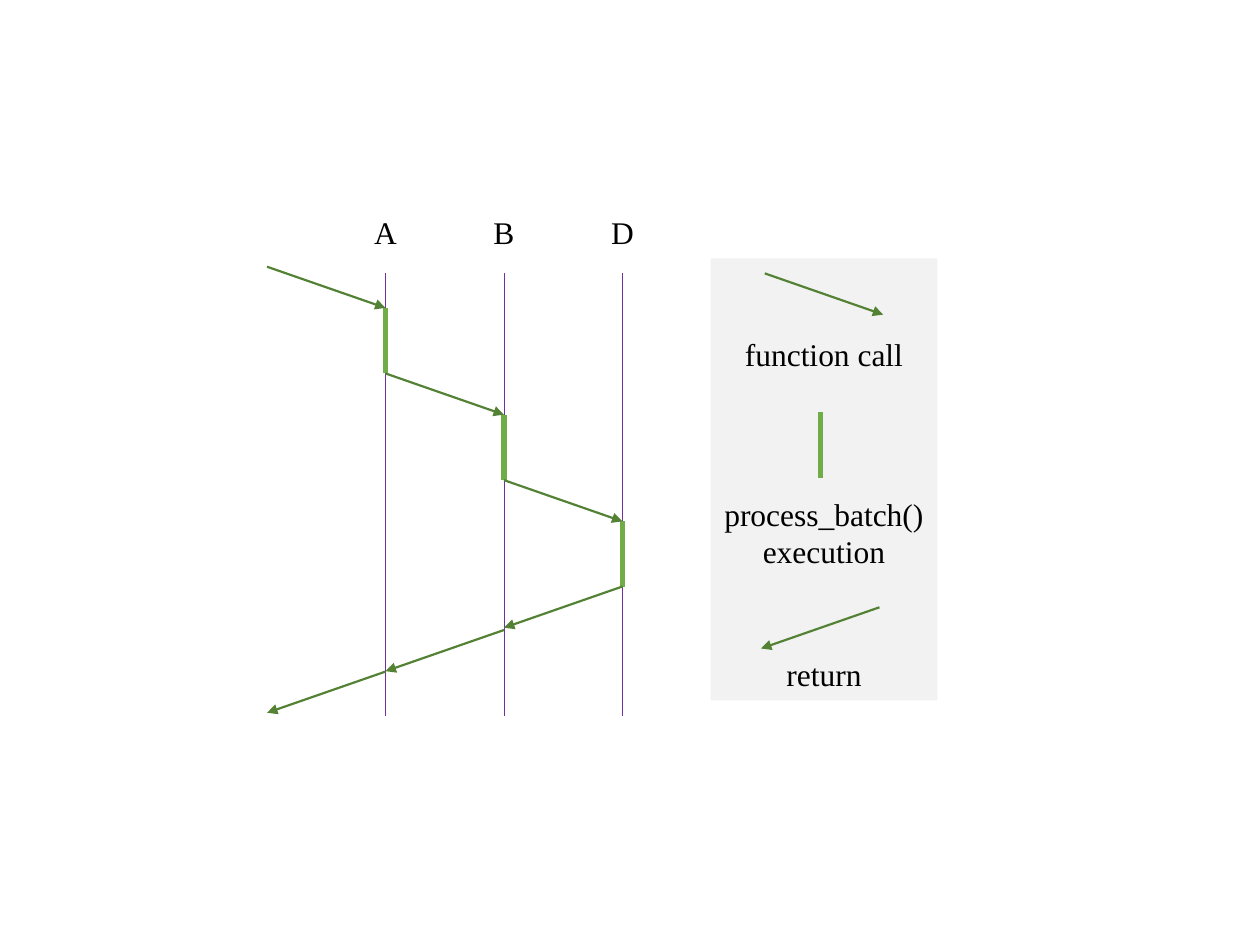
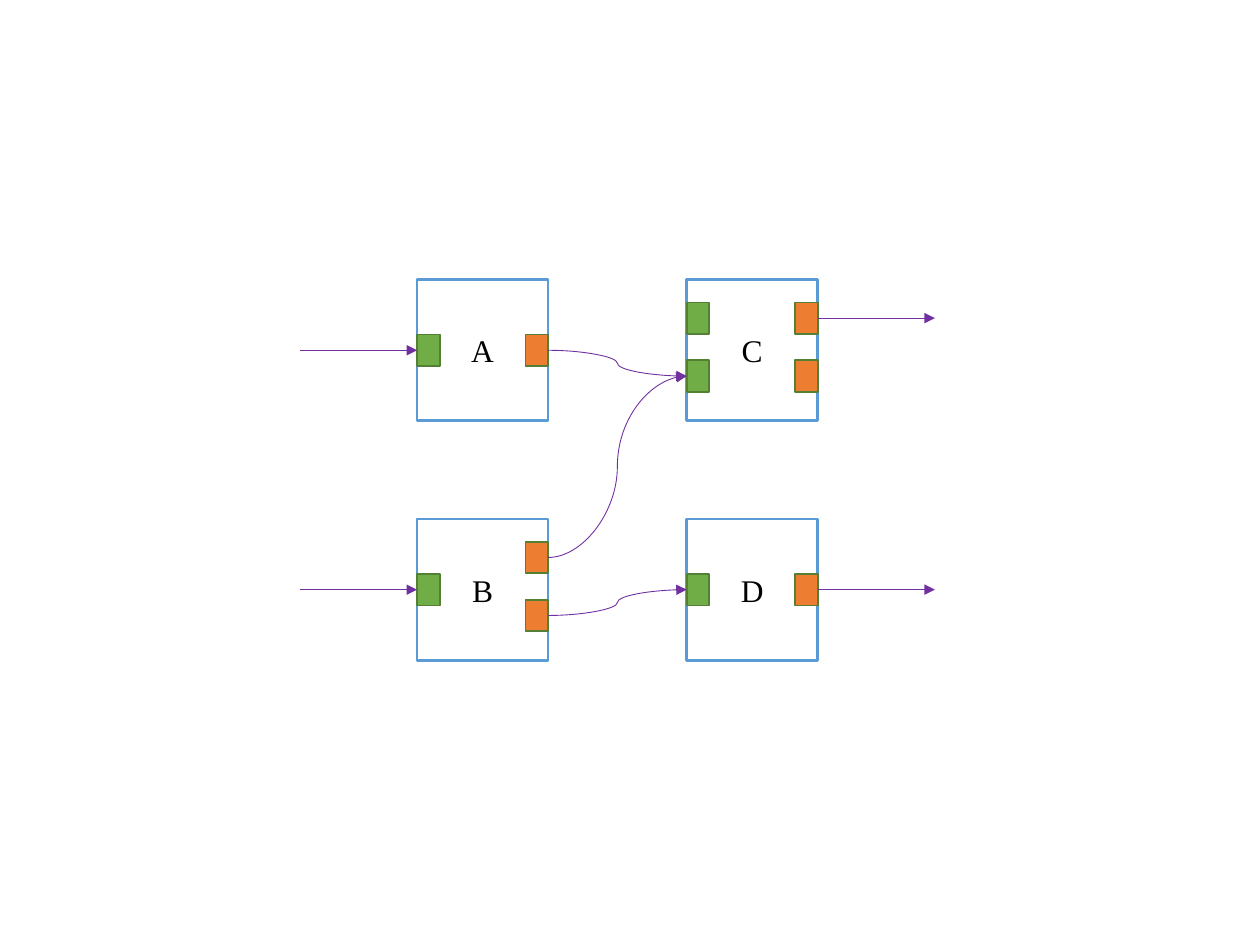
from dataclasses import dataclass

from lxml.etree import SubElement
from pptx import Presentation
from pptx.dml.color import RGBColor
from pptx.enum.shapes import MSO_CONNECTOR as CXN, MSO_SHAPE as SHAPE
from pptx.enum.text import MSO_ANCHOR, MSO_AUTO_SIZE, PP_ALIGN
from pptx.oxml.ns import qn
from pptx.util import Inches, Pt

COLS, ROWS = 100, 75          # slide grid, in cells
LEFT, RIGHT = 1, 3            # connection sites of a rectangle


@dataclass(frozen=True)
class Theme:
    font: str = "Times New Roman"
    size: float = 18
    text: str = "000000"
    paper: str = "FFFFFF"
    panel: str = "F2F2F2"
    wire: str = "7030A0"
    call: str = "548235"
    green: str = "70AD47"
    orange: str = "ED7D31"
    port_edge: str = "538035"
    module_edge: str = "5B9BD5"
    thin: float = 0.5
    port_line: float = 1
    call_line: float = 1.25
    module_line: float = 1.5
    bar_line: float = 3


class Deck:
    """Theme, presentation and current slide; lengths are grid cells."""

    def __init__(self, theme):
        self.t = theme
        self.prs = Presentation()
        self.prs.slide_width, self.prs.slide_height = Inches(10), Inches(7.5)
        self.cell_w = self.prs.slide_width / COLS
        self.cell_h = self.prs.slide_height / ROWS

    def new_slide(self):
        self.shapes = self.prs.slides.add_slide(self.prs.slide_layouts[6]).shapes

    def grid(self, *cells):
        """Turn alternating columns and rows into lengths."""
        return [round(c * (self.cell_h if i % 2 else self.cell_w))
                for i, c in enumerate(cells)]

    def set_text(self, tf, text):
        tf.text = text
        tf.vertical_anchor = MSO_ANCHOR.MIDDLE
        p = tf.paragraphs[0]
        p.alignment = PP_ALIGN.CENTER
        p.font.name, p.font.size = self.t.font, Pt(self.t.size)
        p.font.color.rgb = RGBColor.from_string(self.t.text)

    def rect(self, x, y, w, h, fill, edge=None, weight=0, text=None):
        sp = self.shapes.add_shape(SHAPE.RECTANGLE, *self.grid(x, y, w, h))
        sp.shadow.inherit = False
        sp.fill.solid()
        sp.fill.fore_color.rgb = RGBColor.from_string(fill)
        if edge:
            sp.line.color.rgb = RGBColor.from_string(edge)
            sp.line.width = Pt(weight)
        else:
            sp.line.fill.background()
        if text:
            self.set_text(sp.text_frame, text)
        return sp

    def label(self, text, centre, y, w, h=4):
        """Unwrapped text centred on a column."""
        tf = self.shapes.add_textbox(*self.grid(centre - w / 2, y, w, h)).text_frame
        self.set_text(tf, text)
        tf.word_wrap = False
        tf.auto_size = MSO_AUTO_SIZE.SHAPE_TO_FIT_TEXT

    def connect(self, ends, color, weight, arrow=False, kind=CXN.STRAIGHT):
        c = self.shapes.add_connector(kind, *ends)
        c.line.color.rgb = RGBColor.from_string(color)
        c.line.width = Pt(weight)
        sp_pr = c._element.spPr
        if arrow:
            SubElement(sp_pr.find(qn("a:ln")), qn("a:tailEnd"), type="triangle")
        SubElement(sp_pr, qn("a:effectLst"))
        return c

    def line(self, x1, y1, x2, y2, color, weight, arrow=False):
        return self.connect(self.grid(x1, y1, x2, y2), color, weight, arrow)

    def call_arrow(self, x, y, dx):
        """Slanted arrow: rightwards for a call, leftwards for a return."""
        self.line(x, y, x + dx, y + DROP, self.t.call, self.t.call_line, True)

    def execution_bar(self, x, y):
        """Thick bar for the time a function executes."""
        self.line(x, y + BAR, x, y, self.t.green, self.t.bar_line)

    def module_box(self, name, x, y):
        return self.rect(x, y, MODULE_W, MODULE_H, self.t.paper,
                         self.t.module_edge, self.t.module_line, name)

    def port(self, x, y, fill):
        return self.rect(x, y, PORT_W, PORT_H, fill,
                         self.t.port_edge, self.t.port_line)

    def wire(self, source=None, target=None):
        """Join two ports, or one port and the outside."""
        t, reach = self.t, self.grid(WIRE)[0]
        if source:
            x1, y1 = source.left + source.width, source.top + source.height // 2
        if target:
            x2, y2 = target.left, target.top + target.height // 2
        if not source:
            x1, y1 = x2 - reach, y2
        if not target:
            x2, y2 = x1 + reach, y1
        kind = CXN.CURVE if source and target else CXN.STRAIGHT
        c = self.connect((x1, y1, x2, y2), t.wire, t.thin, True, kind)
        if source:
            c.begin_connect(source, RIGHT)
        if target:
            c.end_connect(target, LEFT)


theme = Theme()
deck = Deck(theme)

# Slide 1: call sequence over time
LANE, DROP, BAR = 9.4, 3.27, 5.2
FIRST, START = 30.6, 21.17
lanes = [FIRST + i * LANE for i in range(3)]
starts = [START + i * (DROP + BAR) for i in range(3)]

deck.new_slide()
deck.rect(56.4, 20.5, 18, 35.1, theme.panel)
for name, x in zip("ABD", lanes):
    deck.line(x, 56.8, x, 21.7, theme.wire, theme.thin)
    deck.label(name, x, 16.4, 3.8)
for x, y in zip(lanes, starts):
    deck.execution_bar(x, y + DROP)
    deck.call_arrow(x - LANE, y, LANE)
for x, y in zip(reversed(lanes), (46.55, 50, 53.3)):
    deck.call_arrow(x, y, -LANE)

# Legend
LEGEND = 65.4
deck.call_arrow(60.7, 21.7, LANE)
deck.label("function call", LEGEND, 26.1, 14.7)
deck.execution_bar(65.1, 32.7)
deck.label("process_batch()\vexecution", LEGEND, 38.7, 18, 7.1)
deck.call_arrow(69.8, 48.2, -LANE)
deck.label("return", LEGEND, 51.5, 8.1)

# Slide 2: modules with input and output ports
MODULE_W, MODULE_H, PORT_W, PORT_H, WIRE = 10.4, 11.2, 1.8, 2.5, 9.3
COL1, COL2, ROW1, ROW2 = 33.1, 54.5, 22.2, 41.2
PORT_ROWS = {1: [(MODULE_H - PORT_H) / 2], 2: [1.8, 6.4]}
layout = {  # name: column, row, inputs, outputs
    "A": (COL1, ROW1, 1, 1),
    "C": (COL2, ROW1, 2, 2),
    "B": (COL1, ROW2, 1, 2),
    "D": (COL2, ROW2, 1, 1),
}

deck.new_slide()
inputs, outputs = {}, {}
for name, (x, y, n_in, n_out) in layout.items():
    deck.module_box(name, x, y)
    inputs[name] = [deck.port(x, y + dy, theme.green) for dy in PORT_ROWS[n_in]]
    outputs[name] = [deck.port(x + MODULE_W - PORT_W, y + dy, theme.orange)
                     for dy in PORT_ROWS[n_out]]

# Wires from outside, to outside and between modules
for name in "BA":
    deck.wire(target=inputs[name][0])
for name in "DC":
    deck.wire(source=outputs[name][0])
deck.wire(outputs["A"][0], inputs["C"][1])
deck.wire(outputs["B"][0], inputs["C"][1])
deck.wire(outputs["B"][1], inputs["D"][0])

deck.prs.save("out.pptx")
